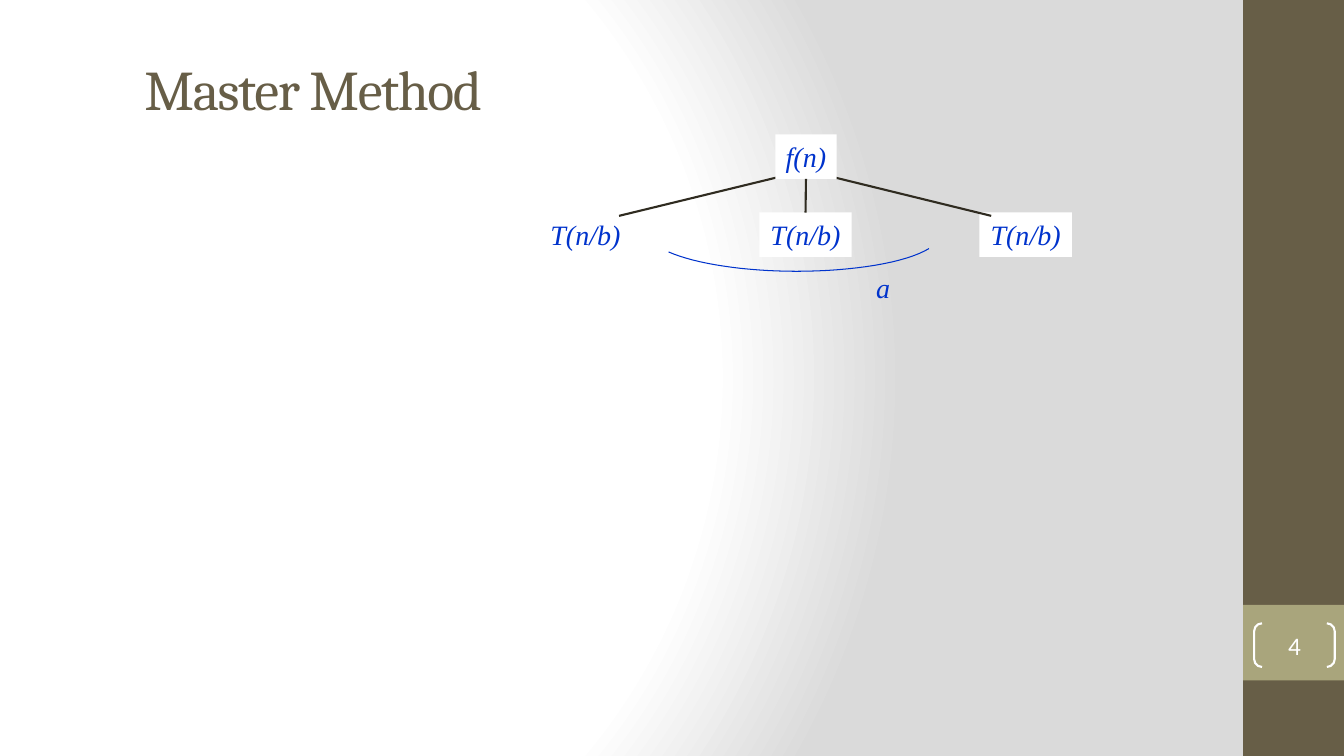
from pptx import Presentation
from pptx.dml.color import RGBColor
from pptx.enum.shapes import MSO_CONNECTOR, MSO_SHAPE
from pptx.enum.text import MSO_ANCHOR, MSO_AUTO_SIZE, PP_ALIGN
from pptx.oxml import parse_xml
from pptx.oxml.ns import nsdecls
from pptx.util import Inches, Pt

RECT, BRACKET = MSO_SHAPE.RECTANGLE, MSO_SHAPE.DOUBLE_BRACKET
STRAIGHT = MSO_CONNECTOR.STRAIGHT
MIDDLE = MSO_ANCHOR.MIDDLE
LEFT, CENTER = PP_ALIGN.LEFT, PP_ALIGN.CENTER
FIT, FIXED = MSO_AUTO_SIZE.SHAPE_TO_FIT_TEXT, MSO_AUTO_SIZE.NONE

THEME = {
    "brown": "675E47", "sand": "A9A57C", "ink": "2F2B20",
    "blue": "0033CC", "white": "FFFFFF", "gray": "DADADA",
    "title": ("Cambria", 40), "math": ("Times New Roman", 20),
    "page": ("Calibri", 18),
}

deck = Presentation()
deck.slide_width, deck.slide_height = Inches(13.33), Inches(7.5)
COL, ROW = deck.slide_width / 160, deck.slide_height / 90
slide = deck.slides.add_slide(deck.slide_layouts[5])
shapes = slide.shapes


def place(*cells):
    """Turn alternating columns and rows of the grid into lengths."""
    return [round(n * (ROW if i % 2 else COL)) for i, n in enumerate(cells)]


def write(shape, text, style, color, align=CENTER):
    frame = shape.text_frame
    frame.text = text
    para = frame.paragraphs[0]
    para.alignment = align
    font = para.runs[0].font
    font.name, size = THEME[style]
    font.size = Pt(size)
    font.color.rgb = RGBColor.from_string(THEME[color])
    font.italic = style == "math"
    frame.word_wrap = style != "math"
    frame.auto_size = FIT if style == "math" else FIXED


# Background glow
stops = "".join(
    f'<a:gs pos="{pos}"><a:srgbClr val="{THEME[color]}"/></a:gs>'
    for pos, color in ((0, "white"), (75000, "white"), (100000, "gray")))
glow = parse_xml(
    f'<p:bg {nsdecls("p", "a")}><p:bgPr><a:gradFill rotWithShape="1">'
    f'<a:gsLst>{stops}</a:gsLst><a:path path="circle">'
    '<a:fillToRect l="20000" t="50000" r="100000" b="50000"/></a:path>'
    '</a:gradFill><a:effectLst/></p:bgPr></p:bg>')
slide.element.cSld.insert(0, glow)

# Title
title = shapes.title
title.left, title.top, title.width, title.height = place(16, 5, 81, 11)
write(title, "Master Method", "title", "brown", LEFT)
title.text_frame.vertical_anchor = MIDDLE
title.text_frame.paragraphs[0].runs[0].font._element.set("spc", "-100")

# Side bar, tree leaves and root
boxes = [("brown", (148, 0, 12, 90), ""), ("sand", (148, 72, 12, 9), "")]
boxes += [("white", (64.2 + 26.2 * i, 25.3, 11, 5.3), "T(n/b)")
          for i in range(3)]
boxes += [("white", (92.3, 16, 7.3, 5.3), "f(n)")]
drawn = []
for color, cells, text in boxes:
    box = shapes.add_shape(RECT, *place(*cells))
    box.shadow.inherit = False
    box.fill.solid()
    box.fill.fore_color.rgb = RGBColor.from_string(THEME[color])
    box.line.fill.background()
    if text:
        write(box, text, "math", "blue")
    drawn.append(box)
leaf, root = drawn[3], drawn[5]

# Branches
branches = []
for ends in ((93, 21, 73.7, 25.7), (96.4, 20.4, 118, 25.7),
             (96, 21.3, 96, 25.3)):
    branch = shapes.add_connector(STRAIGHT, *place(*ends))
    branch.line.color.rgb = RGBColor.from_string(THEME["ink"])
    branch.line.width = Pt(1.5)
    branch._element.spPr.append(parse_xml(f'<a:effectLst {nsdecls("a")}/>'))
    branches.append(branch)
branches[2].begin_connect(root, 2)
branches[2].end_connect(leaf, 0)
for branch in branches[:2]:
    root._element.addprevious(branch._element)

# Arc under the leaves, from two cubic curves
curves = (((79.6, 30), (82.8, 31.4), (88.6, 32.3), (94.8, 32.3)),
          ((94.8, 32.3), (101.5, 32.3), (107.8, 31.3), (110.6, 29.6)))
STEPS = 16
points = []
for curve in curves:
    for step in range(STEPS + 1):
        t = step / STEPS
        parts = ((1 - t) ** 3, 3 * t * (1 - t) ** 2,
                 3 * t ** 2 * (1 - t), t ** 3)
        points.append(place(*(sum(w * p[axis] for w, p in zip(parts, curve))
                              for axis in (0, 1))))
pen = shapes.build_freeform(*points[0])
pen.add_line_segments(points[1:], close=False)
arc = pen.convert_to_shape()
arc.shadow.inherit = False
arc.fill.background()
arc.line.color.rgb = RGBColor.from_string(THEME["blue"])
arc.line.width = Pt(0.75)

count = shapes.add_textbox(*place(103.1, 31.6, 4.1, 5.3))
write(count, "a", "math", "blue")

# Page number
page = shapes.add_shape(BRACKET, *place(149.3, 74.2, 9.6, 5.2))
page.adjustments[0] = 0.18
page.shadow.inherit = False
page.fill.background()
page.line.color.rgb = RGBColor.from_string(THEME["white"])
page.line.width = Pt(1.5)
write(page, "4", "page", "white")
frame = page.text_frame
frame.vertical_anchor = MIDDLE
frame.margin_left = frame.margin_right = 0
frame.margin_top = frame.margin_bottom = 0

deck.save("out.pptx")
